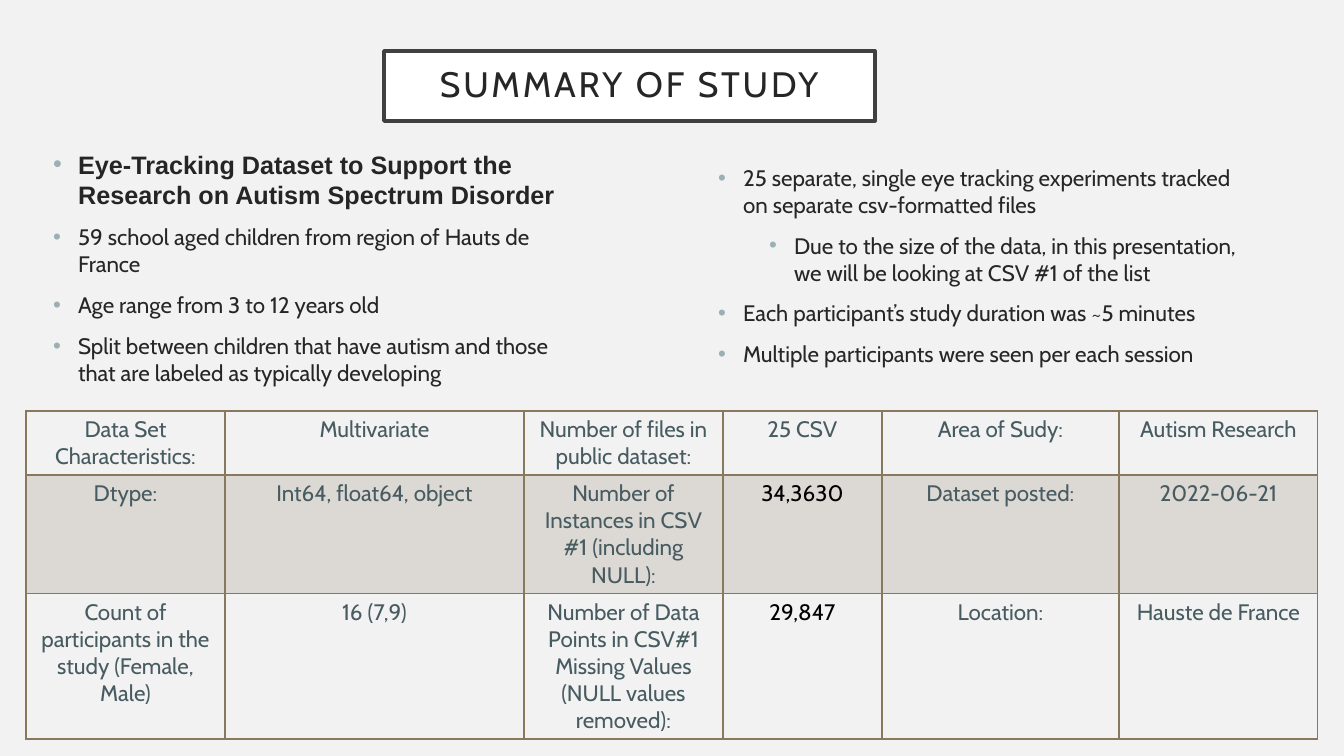
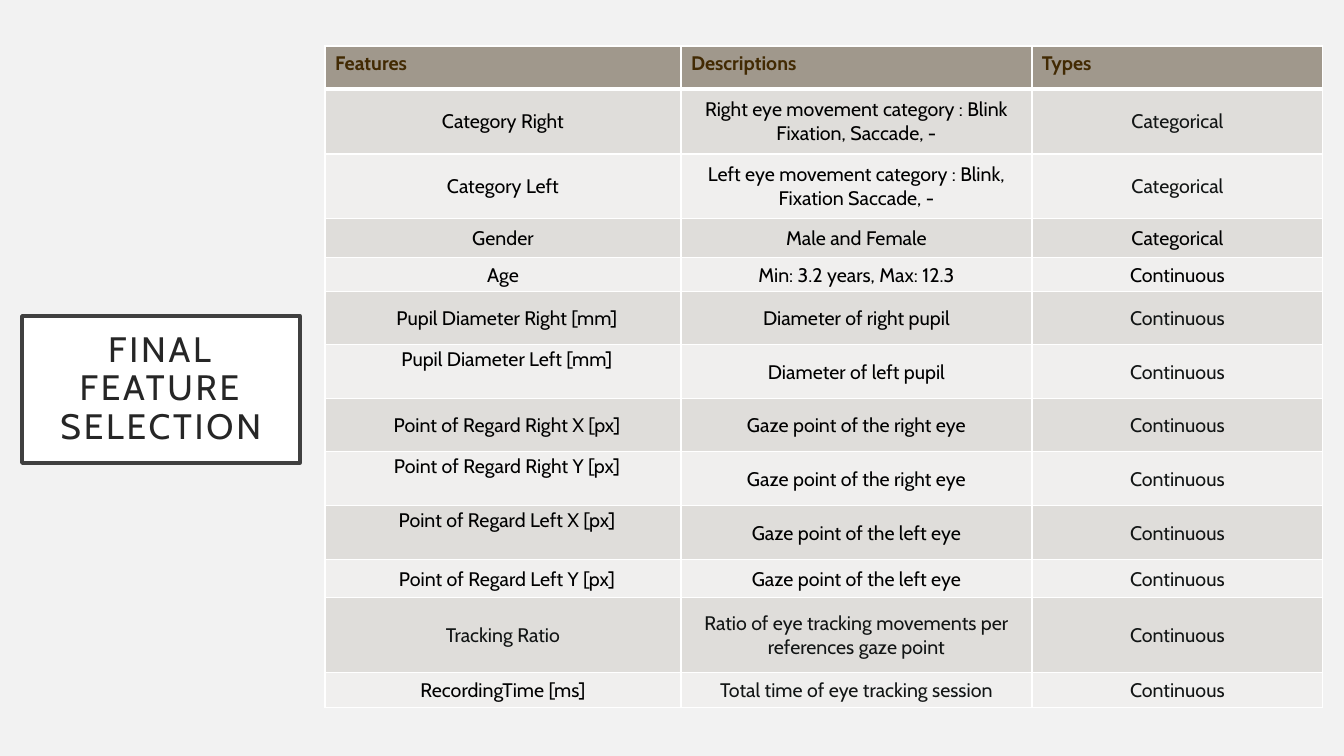
import pptx
import pptx.dml.color
import pptx.enum.text
import pptx.oxml.ns
import pptx.util
from lxml import etree

RGB = pptx.dml.color.RGBColor
ALIGN = pptx.enum.text.PP_ALIGN
ANCHOR = pptx.enum.text.MSO_ANCHOR
qn = pptx.oxml.ns.qn

PX = 914400 / 100.8
FONT = "Cabin"
PAPER = RGB(0xF2, 0xF2, 0xF2)
WHITE = RGB(0xFF, 0xFF, 0xFF)
BLACK = RGB(0x00, 0x00, 0x00)
FRAME = RGB(0x40, 0x40, 0x40)
INK = RGB(0x26, 0x26, 0x26)
HEADLINE = RGB(0x25, 0x25, 0x25)
BULLET = RGB(0x9B, 0xAF, 0xB5)
SLATE = RGB(0x47, 0x5B, 0x61)
TAUPE = RGB(0x87, 0x79, 0x5D)
HEADER_FILL = RGB(0xA0, 0x98, 0x8C)
HEADER_TEXT = RGB(0x42, 0x2A, 0x03)
BANDS = [RGB(0xF0, 0xEF, 0xEE), RGB(0xDF, 0xDD, 0xDA)]
SOFT_BLACK = RGB(0x12, 0x15, 0x15)


def style(p, size, color, bold=False, font=FONT):
    for r in p.runs:
        r.font.size = pptx.util.Pt(size)
        r.font.color.rgb = color
        r.font.bold = bold
        r.font.name = font


def add_grid(slide, left, top, widths, heights, rows, border, header_rule):
    """Add a table with plain borders and a heavier rule under its first row."""
    box = [round(v * PX) for v in (left, top, sum(widths), sum(heights))]
    table = slide.shapes.add_table(len(rows), len(widths), *box).table
    table.first_row = table.horz_banding = False
    for col, w in zip(table.columns, widths):
        col.width = round(w * PX)
    for row, h in zip(table.rows, heights):
        row.height = round(h * PX)
    for i, texts in enumerate(rows):
        for j, text in enumerate(texts):
            cell = table.cell(i, j)
            cell.text_frame.text = text
            tcPr = cell._tc.get_or_add_tcPr()
            for side in "LRTB":
                heavy = (i, side) in ((0, "B"), (1, "T"))
                width = pptx.util.Pt(header_rule if heavy else 1)
                ln = etree.SubElement(tcPr, qn("a:ln" + side), w=str(width))
                fill = etree.SubElement(ln, qn("a:solidFill"))
                etree.SubElement(fill, qn("a:srgbClr"), val=str(border))
    return table


prs = pptx.Presentation()
prs.slide_width, prs.slide_height = round(1344 * PX), round(756 * PX)
bg = prs.slide_master.background.fill
bg.solid()
bg.fore_color.rgb = PAPER

# Slides with framed titles: layout, text, box
titles = [
    (3, "SUMMARY OF STUDY", (384, 51, 491, 70)),
    (5, "FINAL\vFEATURE SELECTION", (22, 316, 278, 147)),
]
for layout, text, box in titles:
    s = prs.slides.add_slide(prs.slide_layouts[layout])
    sp = s.shapes.title
    sp.left, sp.top, sp.width, sp.height = [round(v * PX) for v in box]
    sp.fill.solid()
    sp.fill.fore_color.rgb = WHITE
    sp.line.color.rgb = FRAME
    sp.line.width = pptx.util.Pt(2.5)
    tf = sp.text_frame
    tf.text = text
    tf.word_wrap = True
    tf.auto_size = pptx.enum.text.MSO_AUTO_SIZE.NONE
    tf.vertical_anchor = ANCHOR.MIDDLE
    tf.margin_left = tf.margin_right = tf.margin_top = tf.margin_bottom = round(20 * PX)
    p = tf.paragraphs[0]
    p.alignment = ALIGN.CENTER
    p.line_spacing = 0.9
    style(p, 25.2, INK)
    for r in p.runs:
        r.font._element.set("spc", "200")
summary, features = prs.slides

# Summary: two bullet lists, each item a level and a text
lists = [
    (1, (43, 144, 550, 251), [
        (0, "Eye-Tracking Dataset to Support the Research on Autism Spectrum Disorder"),
        (0, "59 school aged children from region of Hauts de France"),
        (0, "Age range from 3 to 12 years old"),
        (0, "Split between children that have autism and those that are labeled as typically developing"),
    ]),
    (2, (708, 159, 550, 236), [
        (0, "25 separate, single eye tracking experiments tracked on separate csv-formatted files"),
        (1, "Due to the size of the data, in this presentation, we will be looking at CSV #1 of the list"),
        (0, "Each participant’s study duration was ~5 minutes"),
        (0, "Multiple participants were seen per each session"),
    ]),
]
for idx, box, items in lists:
    sp = summary.placeholders[idx]
    sp.left, sp.top, sp.width, sp.height = [round(v * PX) for v in box]
    tf = sp.text_frame
    tf.auto_size = pptx.enum.text.MSO_AUTO_SIZE.NONE
    tf.text = "\n".join(text for level, text in items)
    for i, (p, (level, text)) in enumerate(zip(tf.paragraphs, items)):
        p.level = level
        pPr = p._p.get_or_add_pPr()
        pPr.set("marL", str(round((25 + 51 * level) * PX)))
        pPr.set("indent", str(round(-25 * PX)))
        clr = etree.SubElement(pPr, qn("a:buClr"))
        etree.SubElement(clr, qn("a:srgbClr"), val=str(BULLET))
        etree.SubElement(pPr, qn("a:buFont"), typeface="Arial")
        etree.SubElement(pPr, qn("a:buChar"), char="•")
        p.space_before = pptx.util.Pt(10 if i else 0)
        style(p, 16, INK)
style(summary.placeholders[1].text_frame.paragraphs[0], 18, HEADLINE, True, "Arial")

# Summary: data set facts
facts = [
    ["Data Set Characteristics:", "Multivariate", "Number of files in public dataset:",
     "25 CSV", "Area of Sudy:", "Autism Research"],
    ["Dtype:", "Int64, float64, object", "Number of Instances in CSV #1 (including NULL):",
     "34,3630", "Dataset posted:", "2022-06-21"],
    ["Count of participants in the study (Female, Male)", "16 (7,9)",
     "Number of Data Points in CSV#1 Missing Values (NULL values removed):",
     "29,847", "Location:", "Hauste de France"],
]
table = add_grid(summary, 26, 411, [199, 299, 199, 159, 237, 199], [64, 118, 145],
                 facts, TAUPE, 2)
for i in range(len(facts)):
    for j in range(len(facts[0])):
        cell = table.cell(i, j)
        if i == 1:
            cell.fill.solid()
            cell.fill.fore_color.rgb = TAUPE
            clr = cell._tc.tcPr.find(qn("a:solidFill")).find(qn("a:srgbClr"))
            etree.SubElement(clr, qn("a:alpha"), val="20000")
        else:
            cell.fill.background()
        p = cell.text_frame.paragraphs[0]
        p.alignment = ALIGN.CENTER
        style(p, 16, BLACK if i and j == 3 else SLATE)

# Features: table of selected features
rows = [
    ["Features", "Descriptions", "Types"],
    ["Category Right", "Right eye movement category : Blink Fixation, Saccade, -", "Categorical"],
    ["Category Left", "Left eye movement category : Blink, Fixation Saccade, -", "Categorical"],
    ["Gender", "Male and Female", "Categorical"],
    ["Age", "Min: 3.2 years, Max: 12.3", "Continuous"],
    ["Pupil Diameter Right [mm]", "Diameter of right pupil", "Continuous"],
    ["Pupil Diameter Left [mm]", "Diameter of left pupil", "Continuous"],
    ["Point of Regard Right X [px]", "Gaze point of the right eye", "Continuous"],
    ["Point of Regard Right Y [px]", "Gaze point of the right eye", "Continuous"],
    ["Point of Regard Left X [px]", "Gaze point of the left eye", "Continuous"],
    ["Point of Regard Left Y [px]", "Gaze point of the left eye", "Continuous"],
    ["Tracking Ratio", "Ratio of eye tracking movements per references gaze point", "Continuous"],
    ["RecordingTime [ms]", "Total time of eye tracking session", "Continuous"],
]
heights = [43, 65, 65, 39, 34, 53, 54, 53, 54, 54, 38, 75, 35]
table = add_grid(features, 325, 46, [356, 351, 291], heights, rows, WHITE, 3)
soft_cells = {(11, 0), (11, 1), (12, 1)}
top_cells = {(6, 0), (8, 0), (9, 0)}
for i in range(len(rows)):
    for j in range(len(rows[0])):
        cell = table.cell(i, j)
        p = cell.text_frame.paragraphs[0]
        cell.fill.solid()
        if i == 0:
            cell.fill.fore_color.rgb = HEADER_FILL
            style(p, 14, HEADER_TEXT, True)
            continue
        cell.fill.fore_color.rgb = BANDS[i % 2]
        cell.vertical_anchor = ANCHOR.TOP if (i, j) in top_cells else ANCHOR.MIDDLE
        if 3 <= i <= 10:
            cell.margin_left = round((9 if j == 0 and i >= 5 else 1) * PX)
            cell.margin_right = round(PX)
            cell.margin_top = round((3 if (i, j) in top_cells else 1) * PX)
            cell.margin_bottom = 0
        p.alignment = ALIGN.CENTER
        soft = (i, j) in soft_cells or (j == 2 and i not in (3, 4))
        style(p, 14, SOFT_BLACK if soft else BLACK)

prs.save("out.pptx")
